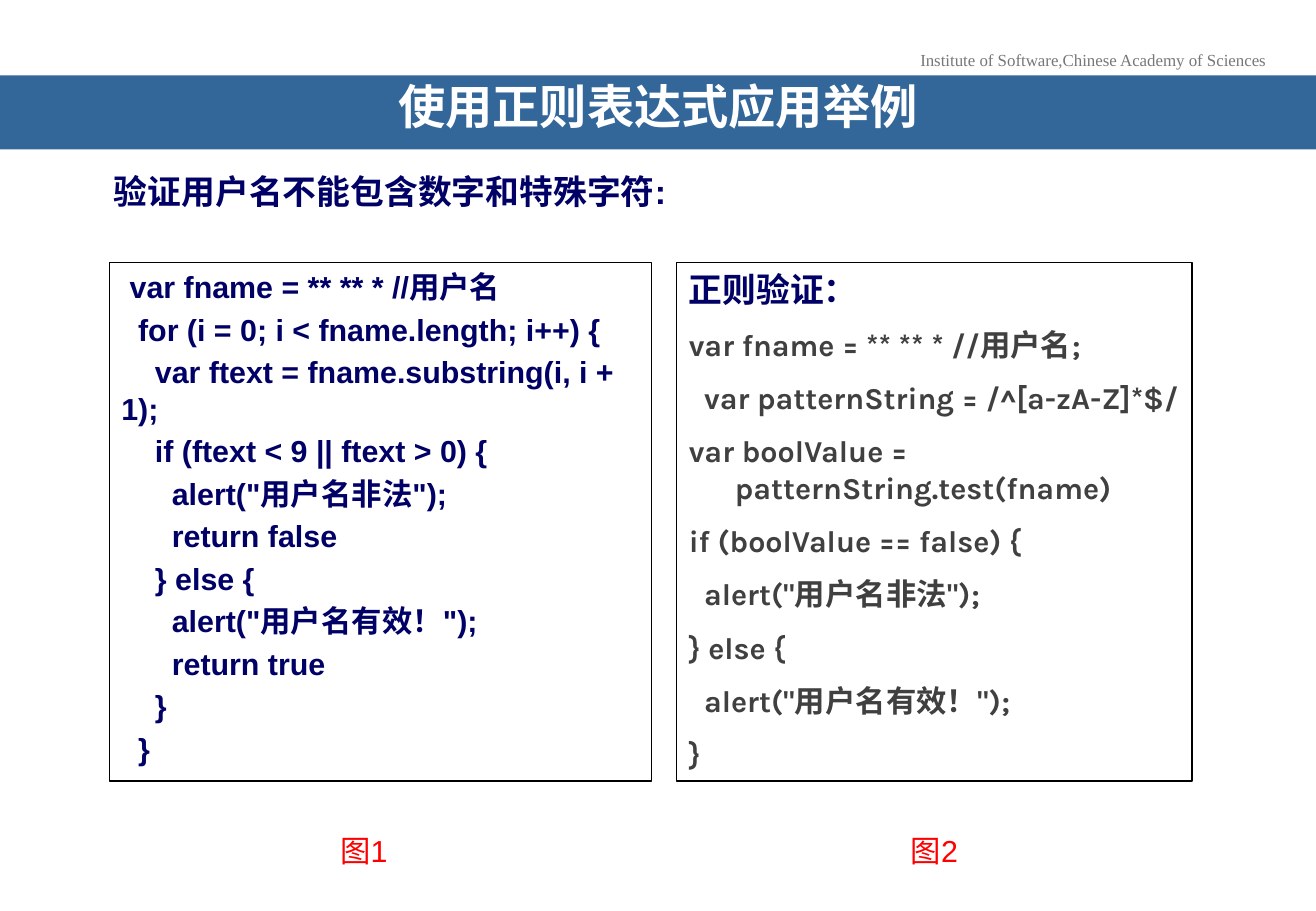
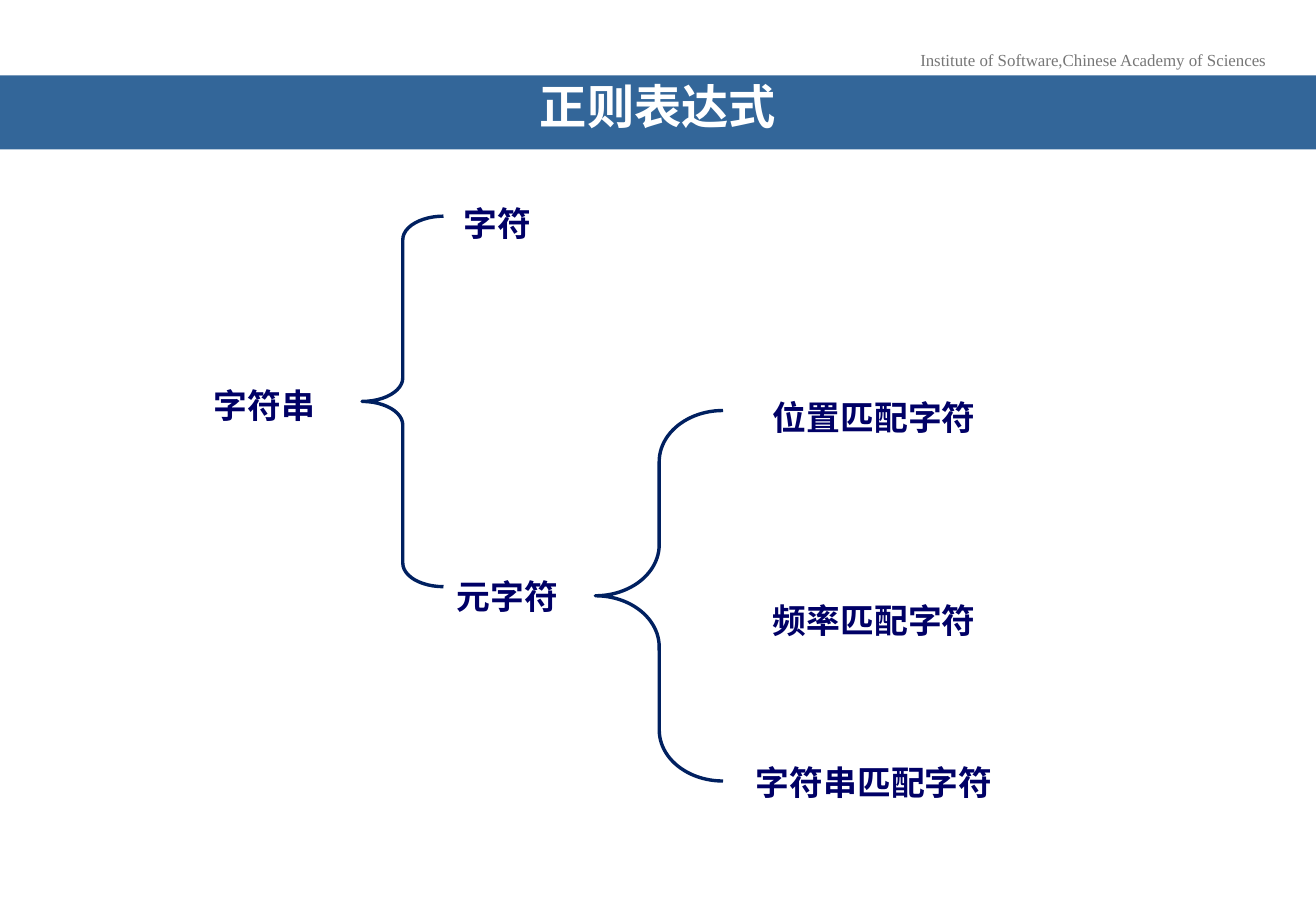
from dataclasses import dataclass
from typing import Any

from pptx import Presentation
from pptx.dml.color import RGBColor
from pptx.enum.shapes import MSO_SHAPE as Preset
from pptx.enum.text import MSO_ANCHOR as Anchor
from pptx.enum.text import MSO_AUTO_SIZE as AutoSize
from pptx.enum.text import PP_ALIGN as Align
from pptx.util import Inches, Pt

WHITE = RGBColor(0xFF, 0xFF, 0xFF)
BLACK = RGBColor(0x00, 0x00, 0x00)
BAND_BLUE = RGBColor(0x33, 0x66, 0x99)
HEADER_GREY = RGBColor(0x77, 0x77, 0x77)
INK_NAVY = RGBColor(0x00, 0x00, 0x66)
BRACE_NAVY = RGBColor(0x00, 0x20, 0x60)
CODE_GREY = RGBColor(0x40, 0x40, 0x40)
RED = RGBColor(0xFF, 0x00, 0x00)

PAGE_WIDTH, PAGE_HEIGHT = 10.83, 7.5
LABEL_HEIGHT = 0.44
PANEL_TOP, PANEL_HEIGHT = 2.16, 4.27
HANG = 0.38


@dataclass(frozen=True)
class Style:
    font: str
    size: float
    color: RGBColor
    bold: bool = False


HEADER = Style("Times New Roman", 10, HEADER_GREY)
TITLE = Style("Arial Narrow", 28, WHITE, True)
LABEL = Style("Arial", 20, INK_NAVY, True)
CODE = Style("Arial", 18, INK_NAVY, True)
REGEX_CODE = Style("Karla", 18, CODE_GREY, True)
CAPTION = Style("Arial", 18, RED)


@dataclass(frozen=True)
class Line:
    text: str
    style: Style
    before: float = 0


@dataclass(frozen=True)
class Area:
    left: float
    top: float
    width: float
    height: float

    def lengths(self) -> tuple:
        return tuple(map(Inches, (self.left, self.top, self.width, self.height)))


@dataclass(frozen=True)
class Label:
    text: str
    area: Area
    style: Style = LABEL
    wrap: bool = False


@dataclass(frozen=True)
class Brace:
    area: Area
    curve: float


LOOP_CODE = (
    " var fname = ** ** * //用户名",
    "  for (i = 0; i < fname.length; i++) {",
    "    var ftext = fname.substring(i, i + 1);",
    "    if (ftext < 9 || ftext > 0) {",
    '      alert("用户名非法");',
    "      return false",
    "    } else {",
    '      alert("用户名有效！");',
    "      return true",
    "    }",
    "  }",
)
PATTERN_CODE = (
    "var fname = ** ** * //用户名;",
    "  var patternString = /^[a-zA-Z]*$/",
    "var boolValue = patternString.test(fname)",
    "if (boolValue == false) {",
    '  alert("用户名非法");',
    "} else {",
    '  alert("用户名有效！");',
    "}",
)
EXAMPLE_LABELS = (
    Label("验证用户名不能包含数字和特殊字符:", Area(0.81, 1.36, 4.8, LABEL_HEIGHT)),
    Label("图1", Area(2.62, 6.8, 0.75, 0.4), CAPTION, True),
    Label("图2", Area(7.2, 6.8, 0.98, 0.4), CAPTION, True),
)
TREE_LABELS = (
    Label("字符串", Area(1.65, 3.12, 1.05, LABEL_HEIGHT)),
    Label("字符", Area(3.71, 1.62, 0.77, LABEL_HEIGHT)),
    Label("元字符", Area(3.65, 4.69, 1.05, LABEL_HEIGHT)),
)
TREE_BRACES = (
    Brace(Area(2.98, 1.78, 0.67, 3.05), 0.29),
    Brace(Area(4.9, 3.38, 1.05, 3.05), 0.4),
)
MATCH_KINDS = (
    Line("位置匹配字符", LABEL),
    Line("频率匹配字符", LABEL, 96),
    Line("字符串匹配字符", LABEL, 72),
)


def write(frame: Any, lines: tuple, align: Align, hang: float = 0) -> None:
    for index, line in enumerate(lines):
        para = frame.add_paragraph() if index else frame.paragraphs[0]
        para.alignment = align
        para.space_before = Pt(line.before if index else 0)
        if hang:
            properties = para._p.get_or_add_pPr()
            properties.set("marL", str(Inches(hang)))
            properties.set("indent", str(-Inches(hang)))
        span = para.add_run()
        span.text = line.text
        style = line.style
        formats = {"name": style.font, "size": Pt(style.size), "bold": style.bold}
        for name, value in formats.items():
            setattr(span.font, name, value)
        span.font.color.rgb = style.color


def add_text(page: Any, area: Area, lines: tuple, wrap: bool = True) -> None:
    frame = page.shapes.add_textbox(*area.lengths()).text_frame
    frame.word_wrap = wrap
    frame.auto_size = AutoSize.SHAPE_TO_FIT_TEXT
    write(frame, lines, Align.CENTER)


def add_label(page: Any, label: Label) -> None:
    add_text(page, label.area, (Line(label.text, label.style),), label.wrap)


def add_outline(page: Any, preset: Preset, area: Area, color: RGBColor, weight: float) -> Any:
    shape = page.shapes.add_shape(preset, *area.lengths())
    shape.shadow.inherit = False
    shape.fill.background()
    shape.line.color.rgb = color
    shape.line.width = Pt(weight)
    return shape


def add_panel(page: Any, left: float, width: float, lines: tuple, hang: float = 0) -> None:
    area = Area(left, PANEL_TOP, width, PANEL_HEIGHT)
    frame = add_outline(page, Preset.RECTANGLE, area, BLACK, 0.75).text_frame
    frame.word_wrap = True
    frame.vertical_anchor = Anchor.TOP
    write(frame, lines, Align.LEFT, hang)


def add_brace(page: Any, brace: Brace) -> None:
    shape = add_outline(page, Preset.LEFT_BRACE, brace.area, BRACE_NAVY, 2)
    shape.adjustments[0] = brace.curve
    shape.adjustments[1] = 0.5


def add_page(deck: Any, title: str) -> Any:
    page = deck.slides.add_slide(deck.slide_layouts[6])
    add_label(page, Label("Institute of Software,Chinese Academy of Sciences",
                          Area(7.46, 0.36, 3.07, 0.27), HEADER))
    band = page.shapes.add_shape(Preset.RECTANGLE, *Area(0, 0.62, PAGE_WIDTH, 0.61).lengths())
    band.shadow.inherit = False
    band.fill.solid()
    band.fill.fore_color.rgb = BAND_BLUE
    band.line.fill.background()
    frame = band.text_frame
    formats = {"margin_left": Inches(0.31), "margin_right": Inches(0.31),
               "vertical_anchor": Anchor.MIDDLE, "word_wrap": True}
    for name, value in formats.items():
        setattr(frame, name, value)
    write(frame, (Line(title, TITLE),), Align.CENTER)
    frame.paragraphs[0].line_spacing = 0.7
    return page


def build_example(deck: Any) -> None:
    page = add_page(deck, "使用正则表达式应用举例")
    add_panel(page, 0.9, 4.46, tuple(Line(text, CODE, 3.6) for text in LOOP_CODE))
    regex_lines = tuple(Line(text, REGEX_CODE, 10) for text in PATTERN_CODE)
    add_panel(page, 5.57, 4.24, (Line("正则验证：", LABEL), *regex_lines), HANG)
    for label in EXAMPLE_LABELS:
        add_label(page, label)


def build_tree(deck: Any) -> None:
    page = add_page(deck, "正则表达式")
    for brace in TREE_BRACES:
        add_brace(page, brace)
    for label in TREE_LABELS:
        add_label(page, label)
    add_text(page, Area(5.62, 3.22, 3.15, 3.53), MATCH_KINDS)


def main() -> None:
    deck = Presentation()
    deck.slide_width = Inches(PAGE_WIDTH)
    deck.slide_height = Inches(PAGE_HEIGHT)
    build_example(deck)
    build_tree(deck)
    deck.save("out.pptx")


if __name__ == "__main__":
    main()
